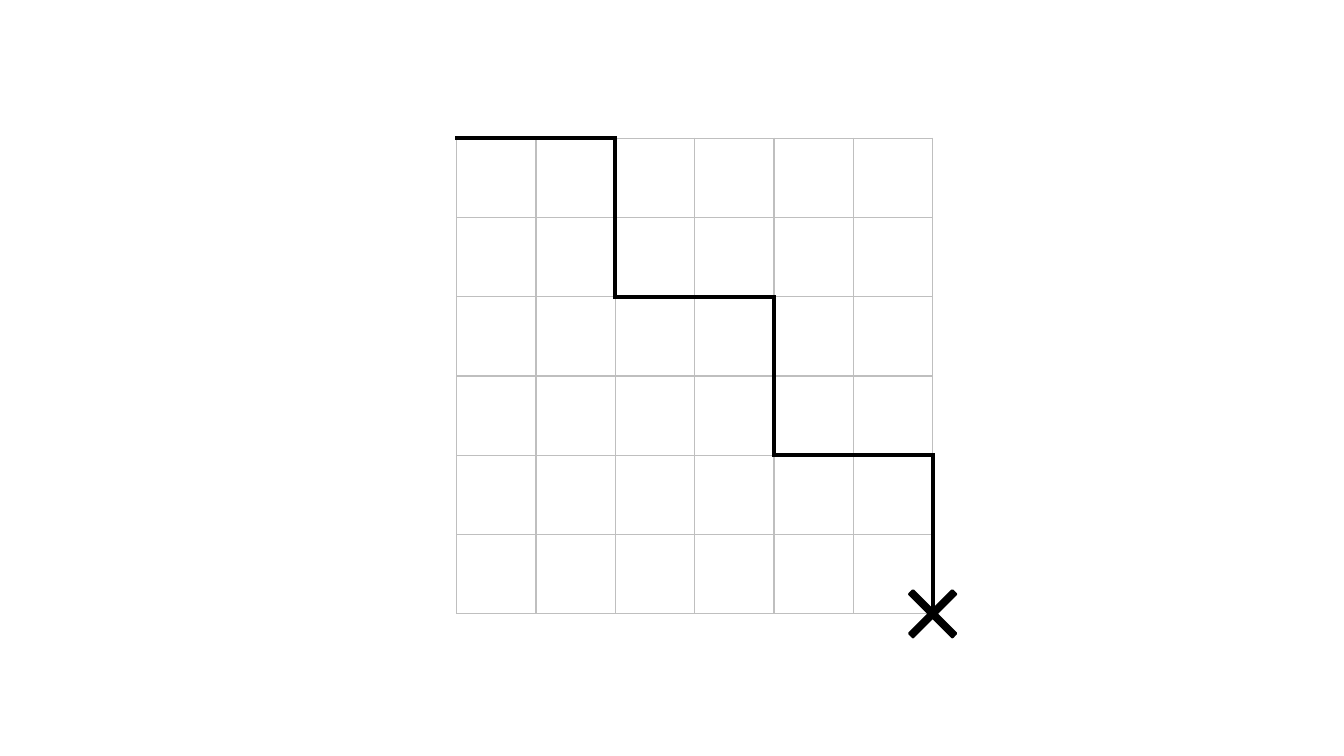
from lxml.etree import SubElement
from pptx import Presentation
from pptx.dml.color import RGBColor
from pptx.enum.shapes import MSO_CONNECTOR, MSO_SHAPE
from pptx.oxml.ns import qn
from pptx.util import Inches, Pt

COLORS = {"grid": "BFBFBF", "path": "000000"}
LEFT, TOP, SIDE, COUNT = 4.53, 1.37, 4.72, 6
STEP = SIDE / COUNT
MARK = 0.6
LAP = 0.02  # lets level runs cover the corners

# Corners of the walk as (column, row), from the cross back to the start
WALK = [(6, 6), (6, 4), (4, 4), (4, 2), (2, 2), (2, 0), (0, 0)]

TABLE = {"first_row": False, "horz_banding": False}
MARGINS = {
    "margin_left": Inches(0.1),
    "margin_right": Inches(0.1),
    "margin_top": Inches(0.05),
    "margin_bottom": Inches(0.05),
}


def style(item, values):
    """Set each attribute named in values on item."""
    for name, value in values.items():
        setattr(item, name, value)


def ink(line, width):
    """Give a line the path colour and a width in points."""
    line.color.rgb = RGBColor.from_string(COLORS["path"])
    line.width = Pt(width)


def edge(cell):
    """Draw a thin border on all four sides of a cell."""
    props = cell._tc.get_or_add_tcPr()
    for side in "LRTB":
        line = SubElement(props, qn(f"a:ln{side}"), w=str(Pt(1)))
        fill = SubElement(line, qn("a:solidFill"))
        SubElement(fill, qn("a:srgbClr"), val=COLORS["grid"])


def draw_grid(slide):
    """Add the square grid as an empty table."""
    table = slide.shapes.add_table(
        COUNT, COUNT, Inches(LEFT), Inches(TOP), Inches(SIDE), Inches(SIDE)
    ).table
    style(table, TABLE)
    for col in table.columns:
        col.width = Inches(STEP)
    for row in table.rows:
        row.height = Inches(STEP)
    for cell in table.iter_cells():
        style(cell, MARGINS)
        edge(cell)
        cell.fill.background()


def draw_cross(slide, col, row):
    """Mark a grid corner with a tilted plus."""
    left = LEFT + col * STEP - MARK / 2
    top = TOP + row * STEP - MARK / 2
    cross = slide.shapes.add_shape(
        MSO_SHAPE.CROSS, Inches(left), Inches(top), Inches(MARK), Inches(MARK)
    )
    cross.adjustments[0] = 0.459
    cross.rotation = 45
    cross.shadow.inherit = False
    cross.fill.solid()
    cross.fill.fore_color.rgb = RGBColor.from_string(COLORS["path"])
    ink(cross.line, 2)


def draw_run(slide, start, end):
    """Join two grid corners with a thick line."""
    (x1, y1), (x2, y2) = [
        (LEFT + col * STEP, TOP + row * STEP) for col, row in (start, end)
    ]
    if start[1] == end[1]:
        x1, x2 = x1 + LAP, x2 - LAP
    run = slide.shapes.add_connector(
        MSO_CONNECTOR.STRAIGHT, Inches(x1), Inches(y1), Inches(x2), Inches(y2)
    )
    ink(run.line, 3)
    SubElement(run._element.spPr, qn("a:effectLst"))


deck = Presentation()
style(deck, {"slide_width": Inches(13.33), "slide_height": Inches(7.5)})
slide = deck.slides.add_slide(deck.slide_layouts[6])

draw_grid(slide)
draw_cross(slide, *WALK[0])
for start, end in zip(WALK, WALK[1:]):
    draw_run(slide, start, end)

deck.save("out.pptx")
